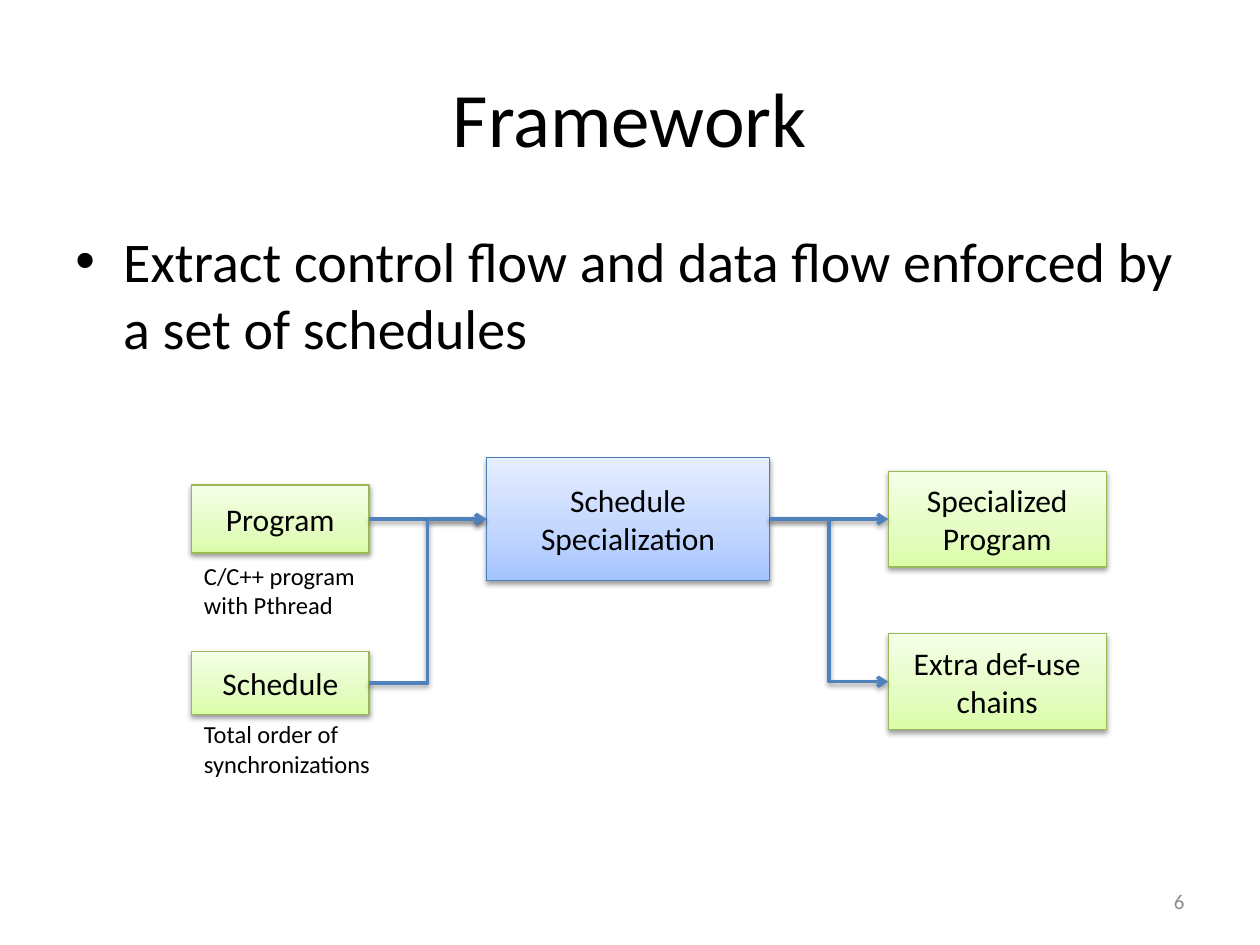
"""Build the Framework slide: a bullet above a schedule specialization flow diagram."""
from dataclasses import dataclass

from pptx import Presentation
from pptx.dml.color import RGBColor
from pptx.enum.shapes import MSO_CONNECTOR, MSO_SHAPE
from pptx.enum.text import MSO_ANCHOR, MSO_AUTO_SIZE, PP_ALIGN
from pptx.oxml import parse_xml
from pptx.oxml.ns import nsdecls
from pptx.util import Inches, Pt

LEFT, CENTER, RIGHT = PP_ALIGN.LEFT, PP_ALIGN.CENTER, PP_ALIGN.RIGHT
TOP, MIDDLE = MSO_ANCHOR.TOP, MSO_ANCHOR.MIDDLE
FIT = MSO_AUTO_SIZE.SHAPE_TO_FIT_TEXT
RECT = MSO_SHAPE.RECTANGLE
STRAIGHT, ELBOW = MSO_CONNECTOR.STRAIGHT, MSO_CONNECTOR.ELBOW
LEFT_SIDE, RIGHT_SIDE = 1, 3
FONT = "Calibri"
ARROW_COLOR = "4F81BD"


@dataclass(frozen=True)
class Theme:
    stops: tuple[tuple[int, str], ...]
    border: str


@dataclass(frozen=True)
class Box:
    name: str
    lines: tuple[str, ...]
    at: tuple[float, float, float, float]
    theme: Theme


@dataclass(frozen=True)
class Label:
    lines: tuple[str, ...]
    at: tuple[float, float, float, float]
    size: int
    color: str = "000000"
    align: PP_ALIGN = LEFT
    anchor: MSO_ANCHOR = TOP
    wrap: bool = True


@dataclass(frozen=True)
class Flow:
    kind: MSO_CONNECTOR
    source: str
    target: str


GREEN = Theme(((0, "DAFDA7"), (35, "E4FCC2"), (100, "F5FFE7")), "98B955")
BLUE = Theme(((0, "A4C4FF"), (35, "BFD4FF"), (100, "E6EEFF")), "4B7EBC")

TITLE = Label(("Framework",), (0.5, 0.3, 9, 1.25), 44, align=CENTER, anchor=MIDDLE)
BODY = Label(("Extract control flow and data flow enforced by a set of schedules",),
             (0.5, 1.75, 9, 1.23), 32)
LABELS = (
    TITLE,
    Label(("6",), (7.17, 6.95, 2.33, 0.4), 12, "8C8C8C", RIGHT, MIDDLE),
    Label(("C/C++ program", "with Pthread"), (1.52, 4.4, 1.41, 0.57), 14, wrap=False),
    Label(("Total order of", "synchronizations"), (1.52, 5.66, 1.54, 0.57), 14, wrap=False),
)
BOXES = (
    Box("schedule", ("Schedule",), (1.52, 5.17, 1.41, 0.5), GREEN),
    Box("specialization", ("Schedule", "Specialization"), (3.86, 3.63, 2.25, 0.98), BLUE),
    Box("program", ("Program",), (1.52, 3.85, 1.41, 0.54), GREEN),
    Box("specialized", ("Specialized", "Program"), (7.05, 3.74, 1.73, 0.76), GREEN),
    Box("chains", ("Extra def-use", "chains"), (7.05, 5.03, 1.73, 0.76), GREEN),
)
FLOWS = (
    Flow(STRAIGHT, "program", "specialization"),
    Flow(STRAIGHT, "specialization", "specialized"),
    Flow(ELBOW, "schedule", "specialization"),
    Flow(ELBOW, "specialization", "chains"),
)


def rgb(value: str) -> RGBColor:
    return RGBColor.from_string(value)


def write(tf, lines: tuple[str, ...], size: int, color: str, align: PP_ALIGN) -> None:
    for i, line in enumerate(lines):
        p = tf.add_paragraph() if i else tf.paragraphs[0]
        p.alignment = align
        r = p.add_run()
        r.text = line
        r.font.name = FONT
        r.font.size = Pt(size)
        r.font.color.rgb = rgb(color)


def add_shadow(shape) -> None:
    shape._element.spPr.append(parse_xml(
        f'<a:effectLst {nsdecls("a")}>'
        f'<a:outerShdw blurRad="{Pt(3.1)}" dist="{Pt(1.6)}" dir="5400000" rotWithShape="0">'
        '<a:srgbClr val="000000"><a:alpha val="38000"/></a:srgbClr>'
        '</a:outerShdw></a:effectLst>'))


def fill_gradient(sp, stops: tuple[tuple[int, str], ...]) -> None:
    sp.fill.background()
    spPr = sp._element.spPr
    gs = "".join(f'<a:gs pos="{pos * 1000}"><a:srgbClr val="{color}"/></a:gs>'
                 for pos, color in stops)
    spPr.replace(spPr.find("{*}noFill"), parse_xml(
        f'<a:gradFill {nsdecls("a")} rotWithShape="1"><a:gsLst>{gs}</a:gsLst>'
        '<a:lin ang="16200000" scaled="0"/></a:gradFill>'))


def add_label(s, label: Label):
    tf = s.shapes.add_textbox(*map(Inches, label.at)).text_frame
    tf.word_wrap = label.wrap
    tf.vertical_anchor = label.anchor
    if not label.wrap:
        tf.auto_size = FIT
    write(tf, label.lines, label.size, label.color, label.align)
    return tf


def add_bullet(p) -> None:
    pPr = p._p.get_or_add_pPr()
    pPr.set("marL", str(Inches(0.38)))
    pPr.set("indent", str(Inches(-0.38)))
    for xml in (f'<a:spcBef {nsdecls("a")}><a:spcPct val="20000"/></a:spcBef>',
                f'<a:buFont {nsdecls("a")} typeface="Arial"/>',
                f'<a:buChar {nsdecls("a")} char="•"/>'):
        pPr.append(parse_xml(xml))


def add_box(s, box: Box):
    sp = s.shapes.add_shape(RECT, *map(Inches, box.at))
    fill_gradient(sp, box.theme.stops)
    sp.line.color.rgb = rgb(box.theme.border)
    sp.line.width = Pt(0.75)
    add_shadow(sp)
    tf = sp.text_frame
    tf.word_wrap = True
    tf.vertical_anchor = MIDDLE
    write(tf, box.lines, 18, "000000", CENTER)
    return sp


def add_flow(s, flow: Flow, nodes: dict) -> None:
    a, b = nodes[flow.source], nodes[flow.target]
    cx = s.shapes.add_connector(flow.kind, a.left + a.width, a.top + a.height // 2,
                                b.left, b.top + b.height // 2)
    cx.begin_connect(a, RIGHT_SIDE)
    cx.end_connect(b, LEFT_SIDE)
    cx.line.color.rgb = rgb(ARROW_COLOR)
    cx.line.width = Pt(2)
    cx.line._get_or_add_ln().append(parse_xml(f'<a:tailEnd {nsdecls("a")} type="arrow"/>'))
    add_shadow(cx)


def main() -> None:
    prs = Presentation()
    prs.slide_width, prs.slide_height = Inches(10), Inches(7.5)
    s = prs.slides.add_slide(prs.slide_layouts[6])
    for label in LABELS:
        add_label(s, label)
    add_bullet(add_label(s, BODY).paragraphs[0])
    nodes = {box.name: add_box(s, box) for box in BOXES}
    for flow in FLOWS:
        add_flow(s, flow, nodes)
    prs.save("out.pptx")


if __name__ == "__main__":
    main()
